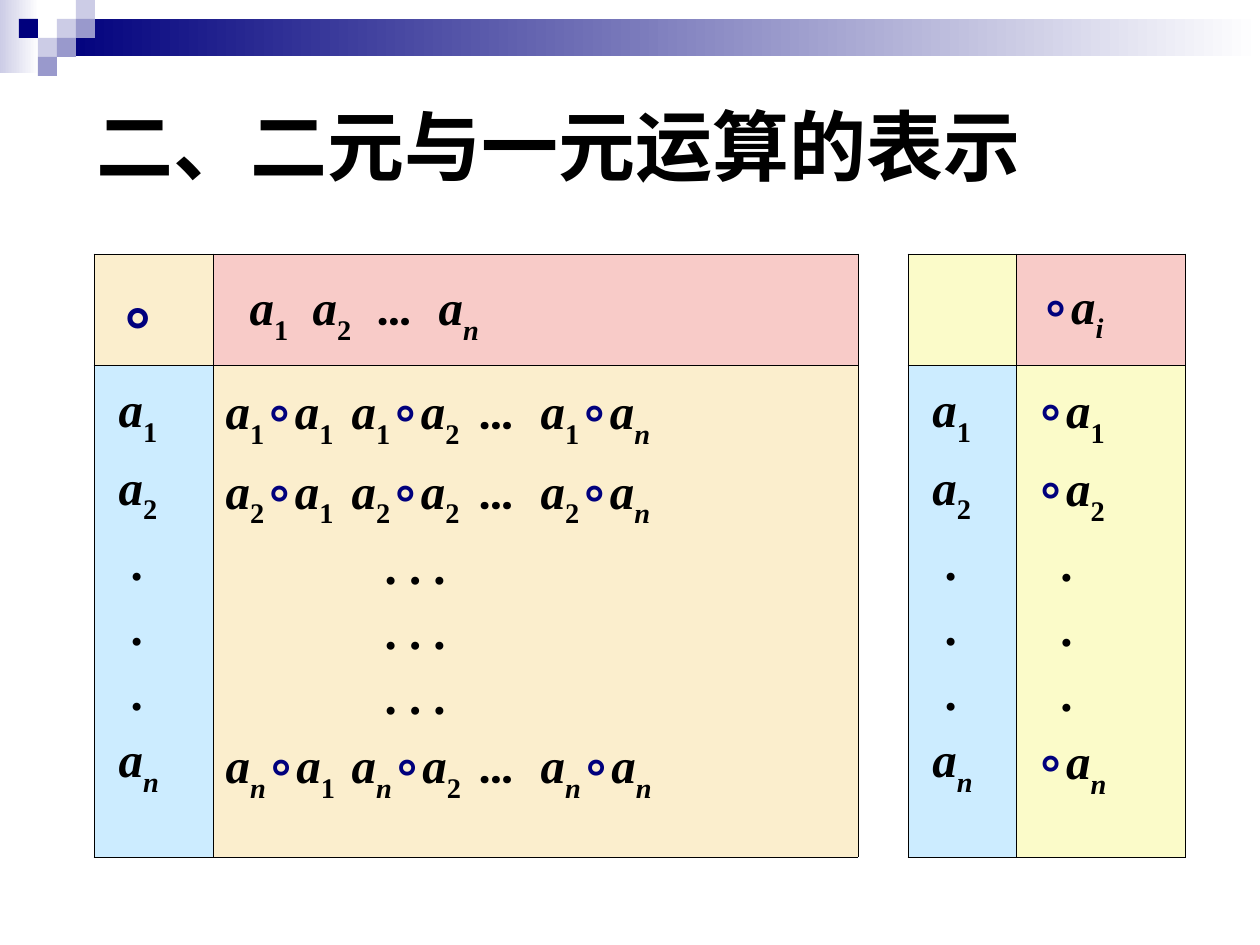
from lxml import etree
from pptx import Presentation
from pptx.dml.color import RGBColor
from pptx.enum.shapes import MSO_SHAPE
from pptx.enum.text import MSO_ANCHOR
from pptx.oxml.ns import qn
from pptx.util import Pt

PX = 914400 / 126  # EMU in one px
RECTANGLE = MSO_SHAPE.RECTANGLE
MIDDLE = MSO_ANCHOR.MIDDLE

BLACK = RGBColor(0x00, 0x00, 0x00)
WHITE = RGBColor(0xFF, 0xFF, 0xFF)
NAVY = RGBColor(0x00, 0x00, 0x7D)
LAVENDER = RGBColor(0xCC, 0xCC, 0xE6)
VIOLET = RGBColor(0x99, 0x99, 0xCC)
CREAM = RGBColor(0xFB, 0xEE, 0xCD)
PINK = RGBColor(0xF8, 0xCB, 0xC8)
YELLOW = RGBColor(0xFB, 0xFB, 0xC9)
BLUE = RGBColor(0xCC, 0xEC, 0xFF)

TITLE = "二、二元与一元运算的表示"

# Gradient bars: left, top, width, height, left colour, right colour
BARS = [
    (0, 0, 39, 73, LAVENDER, WHITE),
    (57, 19, 1203, 37, NAVY, WHITE),
]
# Corner squares: column, row, colour
SQUARE = 19
SQUARES = [
    (3, 1, LAVENDER), (4, 0, LAVENDER), (4, 1, VIOLET), (2, 2, LAVENDER),
    (1, 1, NAVY), (3, 2, VIOLET), (2, 3, VIOLET),
]

# Table cells: lines are (indent px, text); "_" lowers the next character
TABLE_LEFT, TABLE_TOP = 94, 254
COLUMNS = [119, 645, 50, 108, 170]
ROWS = [111, 492]
GAP_COLUMN = 2
DOTS = [(24, ".")] * 3
ELEMENTS = [(12, "a_1"), (12, "a_2"), *DOTS, (12, "a_n")]
PRODUCTS = [
    (0, f"a_{i}∘a_1\ta_{i}∘a_2\t…\ta_{i}∘a_n") for i in "12n"
]
CELLS = [
    # row, column, fill, line spacing, symbol size, tab stops, lines
    (0, 0, CREAM, 1.3, 36, [], [(12, "∘")]),
    (0, 1, PINK, 1.3, 28, [161, 284, 419], [(24, "a_1\ta_2\t…\ta_n")]),
    (0, 3, YELLOW, 1.3, 28, [], []),
    (0, 4, PINK, 1.3, 28, [], [(12, "∘a_i")]),
    (1, 0, BLUE, 1.2, 28, [], ELEMENTS),
    (1, 1, CREAM, 1.2, 28, [145, 289, 387],
     PRODUCTS[:2] + [(159, ". . .")] * 3 + PRODUCTS[2:]),
    (1, 3, BLUE, 1.2, 28, [], ELEMENTS),
    (1, 4, YELLOW, 1.2, 28, [],
     [(7, "∘a_1"), (7, "∘a_2"), *[(32, ".")] * 3, (7, "∘a_n")]),
]


def px(value):
    return round(value * PX)


def add_run(paragraph, text, **format_values):
    run = paragraph.add_run()
    run.text = text
    color = format_values.pop("color", BLACK)
    for name, value in {"bold": True, **format_values}.items():
        setattr(run.font, name, value)
    run.font.color.rgb = color
    return run


def add_formula(paragraph, text, symbol_size):
    lowered = False
    for character in text:
        if character == "_":
            lowered = True
            continue
        if character == "∘":
            add_run(paragraph, character, name="Arial", color=NAVY,
                    size=Pt(symbol_size))
        else:
            font_name = "Roboto" if character == "…" else "Times New Roman"
            run = add_run(paragraph, character, name=font_name, size=Pt(28),
                          italic=character.isalpha())
            if lowered:
                run.font._element.set("baseline", "-30000")
        lowered = False


def set_indent(paragraph, indent, stops):
    properties = paragraph._p.get_or_add_pPr()
    properties.set("marL", str(px(indent)))
    properties.set("indent", "0")
    if stops:
        tab_list = etree.SubElement(properties, qn("a:tabLst"))
        for stop in stops:
            etree.SubElement(tab_list, qn("a:tab"), pos=str(px(stop)), algn="l")


def set_borders(cell, visible_sides):
    properties = cell._tc.get_or_add_tcPr()
    for position, side in enumerate("LRTB"):
        line = etree.Element(qn(f"a:ln{side}"), w=str(Pt(0.45)))
        if side in visible_sides:
            fill = etree.SubElement(line, qn("a:solidFill"))
            etree.SubElement(fill, qn("a:srgbClr"), val=str(BLACK))
        else:
            etree.SubElement(line, qn("a:noFill"))
        properties.insert(position, line)


def add_rectangle(slide, left, top, width, height):
    shape = slide.shapes.add_shape(
        RECTANGLE, px(left), px(top), px(width), px(height))
    shape.shadow.inherit = False
    shape.line.fill.background()
    return shape


def add_decoration(slide):
    for *place, left_color, right_color in BARS:
        fill = add_rectangle(slide, *place).fill
        fill.gradient()
        fill.gradient_angle = 0
        for stop, color in zip(fill.gradient_stops, (left_color, right_color)):
            stop.color.rgb = color
    for column, row, color in SQUARES:
        square = add_rectangle(
            slide, column * SQUARE, row * SQUARE, SQUARE, SQUARE)
        square.fill.solid()
        square.fill.fore_color.rgb = color


def add_title(slide):
    box = slide.shapes.add_textbox(px(84), px(66), px(1071), px(158))
    frame = box.text_frame
    frame.word_wrap = True
    frame.vertical_anchor = MIDDLE
    add_run(frame.paragraphs[0], TITLE, name="Arial", size=Pt(44))


def add_operation_table(slide):
    table = slide.shapes.add_table(
        len(ROWS), len(COLUMNS), px(TABLE_LEFT), px(TABLE_TOP),
        px(sum(COLUMNS)), px(sum(ROWS))).table
    table.first_row = table.horz_banding = False
    for column, width in zip(table.columns, COLUMNS):
        column.width = px(width)
    for row, height in zip(table.rows, ROWS):
        row.height = px(height)

    # Empty gap between the binary and the unary table
    table.cell(0, GAP_COLUMN).merge(table.cell(1, GAP_COLUMN))
    for row in range(len(ROWS)):
        gap = table.cell(row, GAP_COLUMN)
        gap.fill.background()
        set_borders(gap, "LR")

    for row, column, color, spacing, symbol_size, stops, lines in CELLS:
        cell = table.cell(row, column)
        cell.fill.solid()
        cell.fill.fore_color.rgb = color
        set_borders(cell, "LRTB")
        frame = cell.text_frame
        for number, (indent, text) in enumerate(lines):
            paragraph = frame.add_paragraph() if number else frame.paragraphs[0]
            set_indent(paragraph, indent, stops)
            paragraph.line_spacing = spacing
            add_formula(paragraph, text, symbol_size)


def main():
    presentation = Presentation()
    presentation.slide_width, presentation.slide_height = px(1260), px(945)
    slide = presentation.slides.add_slide(presentation.slide_layouts[6])
    add_decoration(slide)
    add_title(slide)
    add_operation_table(slide)
    presentation.save("out.pptx")


if __name__ == "__main__":
    main()
